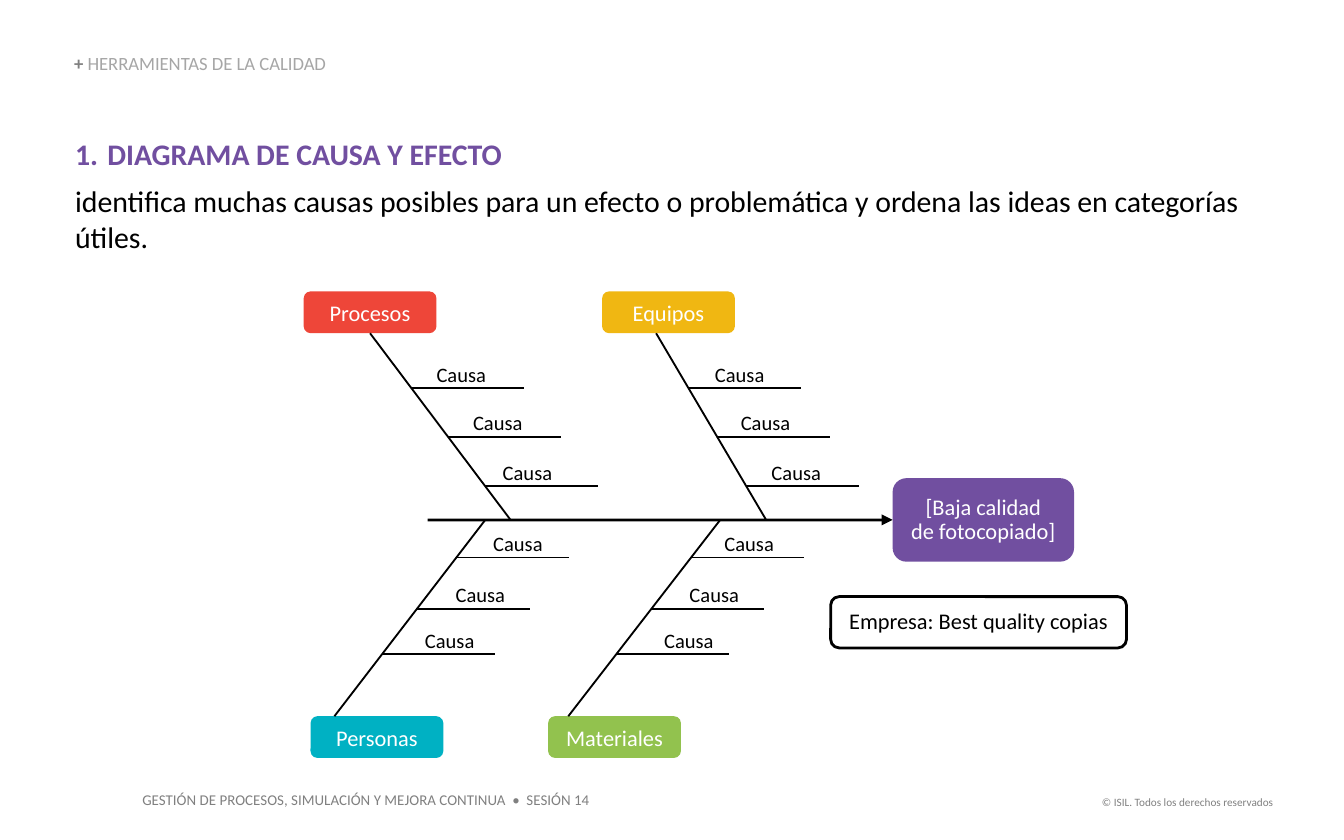
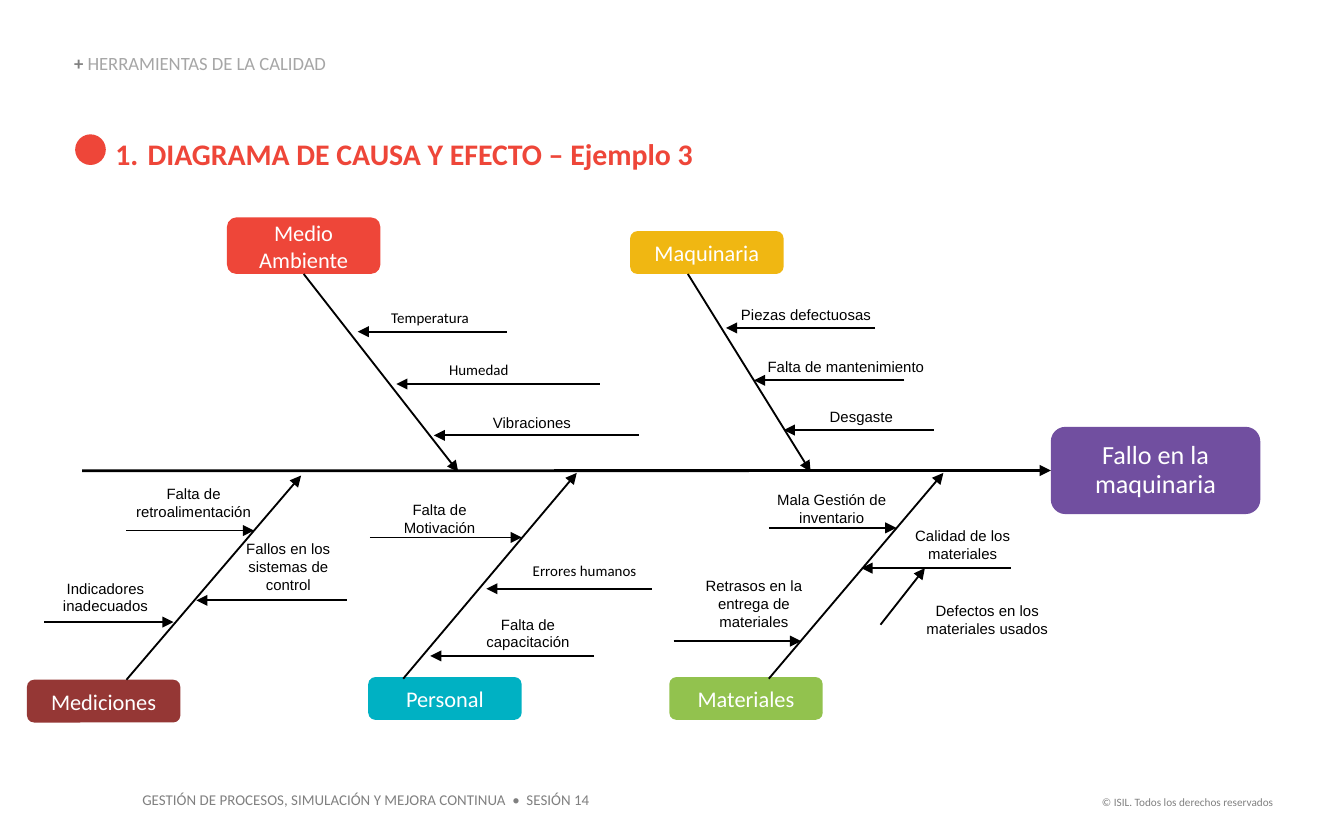
from dataclasses import dataclass
from lxml import etree
from pptx import Presentation
from pptx import util as u
from pptx.dml.color import RGBColor
from pptx.enum import shapes as sh, text as tx
from pptx.oxml import ns


@dataclass(frozen=True)
class Theme:
    red: str = "EE4639"
    gold: str = "F0B712"
    green: str = "92C24E"
    teal: str = "00B1C3"
    wine: str = "953735"
    violet: str = "714FA0"
    black: str = "000000"
    white: str = "FFFFFF"
    gray: str = "808080"
    pale: str = "A6A6A6"
    sans: str = "Calibri"
    alt: str = "Arial"
    head: int = 16
    big: int = 14
    box: int = 12
    cause: int = 11
    kick: int = 10
    note: int = 8
    tiny: int = 6


T = Theme()
ROUND = sh.MSO_SHAPE.ROUNDED_RECTANGLE
LEFT, MID, RIGHT = tx.PP_ALIGN.LEFT, tx.PP_ALIGN.CENTER, tx.PP_ALIGN.RIGHT


def put(slide, at, paras, kind=None, fill=None, edge=None, size=T.box, color=T.black,
        bold=False, font=T.sans, align=MID, pad=None, space=None, after=None,
        number=False, anchor=None):
    spot = [u.Cm(n) for n in at]
    if kind == "title":
        shape = slide.shapes.title
        shape.left, shape.top, shape.width, shape.height = spot
    elif kind is None:
        shape = slide.shapes.add_textbox(*spot)
    else:
        shape = slide.shapes.add_shape(kind, *spot)
        shape.shadow.inherit = False
        anchor = tx.MSO_ANCHOR.MIDDLE
        if fill:
            shape.fill.solid()
            shape.fill.fore_color.rgb = RGBColor.from_string(fill)
        else:
            shape.fill.background()
        if edge:
            shape.line.color.rgb = RGBColor.from_string(edge)
            shape.line.width = u.Pt(1.5)
        else:
            shape.line.fill.background()
    frame = shape.text_frame
    frame.word_wrap = True
    frame.auto_size = tx.MSO_AUTO_SIZE.NONE
    frame.vertical_anchor = anchor or tx.MSO_ANCHOR.TOP
    if pad is not None:
        frame.margin_left = frame.margin_right = u.Cm(pad)
        frame.margin_top = frame.margin_bottom = u.Cm(pad)
    if isinstance(paras, str):
        paras = [[(paras, color, bold)]]
    for row, runs in enumerate(paras):
        para = frame.add_paragraph() if row else frame.paragraphs[0]
        para.alignment = align
        if space:
            para.line_spacing = space
        if number and row == 0:
            props = para._p.get_or_add_pPr()
            props.set("marL", str(u.Cm(0.61)))
            props.set("indent", str(-u.Cm(0.61)))
            etree.SubElement(props, ns.qn("a:buAutoNum"), type="arabicPeriod")
        if after and row == 0:
            para.space_after = u.Pt(after)
        for words, tint, heavy in runs:
            for nth, piece in enumerate(words.split("\n")):
                if nth:
                    para.add_line_break()
                run = para.add_run()
                run.text = piece
                run.font.size = u.Pt(size)
                run.font.name = font
                run.font.bold = heavy
                run.font.color.rgb = RGBColor.from_string(tint)
    return shape


def line(slide, x1, y1, x2, y2, width=1, arrow=False, start=None, end=None):
    link = slide.shapes.add_connector(sh.MSO_CONNECTOR.STRAIGHT,
                                      *[u.Cm(n) for n in (x1, y1, x2, y2)])
    if start:
        link.begin_connect(start, 2)
    if end:
        link.end_connect(end, 1)
    link.line.color.rgb = RGBColor.from_string(T.black)
    link.line.width = u.Pt(width)
    if arrow:
        etree.SubElement(link.line._get_or_add_ln(), ns.qn("a:tailEnd"), type="triangle")
    etree.SubElement(link._element.spPr, ns.qn("a:effectLst"))


deck = Presentation()
deck.slide_width, deck.slide_height = u.Cm(25.4), u.Cm(15.88)
plain = deck.slide_layouts[5]
for hold in list(plain.placeholders):
    if hold.placeholder_format.type != sh.PP_PLACEHOLDER.TITLE:
        hold.element.getparent().remove(hold.element)

first, second = [deck.slides.add_slide(plain) for _ in range(2)]
feet = [
    ((20.5, 14.91, 3.81, 0.51), "© ISIL. Todos los derechos reservados", T.tiny, RIGHT),
    ((2.44, 14.83, 8.97, 0.61),
     "GESTIÓN DE PROCESOS, SIMULACIÓN Y MEJORA CONTINUA  •  SESIÓN 14", T.note, LEFT),
]
for at, words, size, align in feet:
    foot = put(first, at, words, size=size, color=T.gray, align=align)
    plain.shapes.element.append(foot.element)
for slide in (first, second):
    put(slide, (1.4, 1.04, 6.76, 0.38),
        [[("+ ", T.gray, True), ("HERRAMIENTAS DE LA CALIDAD", T.pale, False)]],
        kind="title", size=T.kick, align=LEFT, pad=0, space=0.9,
        anchor=tx.MSO_ANCHOR.BOTTOM)

put(first, (1.42, 2.57, 22.07, 2.39), [
    [("DIAGRAMA DE CAUSA Y EFECTO", T.violet, True)],
    [("identifica muchas causas posibles para un efecto o problemática y ordena "
      "las ideas en categorías útiles.", T.black, False)],
], size=T.head, align=LEFT, pad=0, after=6, number=True)

axis = 9.83
goal = put(first, (16.87, 9.04, 3.43, 1.58), "[Baja calidad\nde fotocopiado]", ROUND,
           T.violet, color=T.white, space=0.9)
put(first, (15.7, 11.28, 5.59, 0.97), "Empresa: Best quality copias", ROUND,
    edge=T.black, space=0.9)
line(first, 8.08, axis, 16.87, axis, 1.5, True, end=goal)

upper, lower = (7.34, 8.26, 9.19), (10.54, 11.51, 12.37)
bones = [
    ("Procesos", T.red, 5.74, 5.51, 6.99, 6.3, 9.65, upper, (7.92, 8.61, 9.17)),
    ("Equipos", T.gold, 11.38, 5.51, 12.4, 6.3, 14.48, upper, (13.18, 13.67, 14.25)),
    ("Personas", T.teal, 5.87, 13.54, 6.32, 13.54, 9.17, lower, (8.99, 8.28, 7.7)),
    ("Materiales", T.green, 10.36, 13.54, 10.74, 13.54, 13.61, lower, (13.36, 12.7, 12.22)),
]
for name, fill, left, top, x1, y1, x2, rows, tags in bones:
    box = put(first, (left, top, 2.51, 0.79), name, ROUND, fill, color=T.white)
    line(first, x1, y1, x2, axis, start=box if name == "Procesos" else None)
    for y, tag in zip(rows, tags):
        x = x1 + (x2 - x1) * (y - y1) / (axis - y1)
        line(first, x, y, x + 2.13, y)
        put(first, (tag, y - 0.5, 1.6, 0.48), "Causa", size=T.cause, pad=0)

put(second, (2.18, 2.57, 12.5, 0.69), "DIAGRAMA DE CAUSA Y EFECTO – Ejemplo 3",
    size=T.head, color=T.red, bold=True, align=LEFT, pad=0, after=6, number=True)
put(second, (1.42, 2.54, 0.58, 0.58), [], sh.MSO_SHAPE.OVAL, T.red).rotation = 90

goal = put(second, (19.86, 8.07, 3.96, 1.65), "Fallo en la maquinaria", ROUND,
           T.violet, size=T.big, color=T.white, space=0.9)
line(second, 1.55, 8.9, 19.86, 8.9, 1.5, True, end=goal)

bones = [
    ("Medio Ambiente", T.red, 4.29, 4.11, 1.07, (5.74, 5.18, 8.66, 8.92)),
    ("Maquinaria", T.gold, 11.91, 4.37, 0.81, (13, 5.18, 15.32, 8.92)),
    ("Mediciones", T.wine, 0.51, 12.85, 0.81, (2.39, 12.85, 5.69, 8.99)),
    ("Personal", T.teal, 6.96, 12.8, 0.81, (7.62, 12.83, 10.9, 8.94)),
    ("Materiales", T.green, 12.65, 12.8, 0.81, (14.53, 12.83, 17.83, 8.94)),
]
for name, fill, left, top, high, rib in bones:
    box = put(second, (left, top, 2.9, high), name, ROUND, fill, color=T.white)
    line(second, *rib, arrow=True, start=box if name == "Medio Ambiente" else None)

causes = [
    ("Temperatura", T.sans, (6.71, 5.84, 2.84, 0.33), (9.58, 6.27, 6.76, 6.27)),
    ("Humedad", T.sans, (6.88, 6.81, 4.34, 0.33), (11.33, 7.26, 7.49, 7.26)),
    ("Vibraciones", T.alt, (8.2, 7.82, 3.71, 0.33), (12.07, 8.23, 8.2, 8.23)),
    ("Piezas defectuosas", T.alt, (13.94, 5.77, 2.59, 0.33), (16.54, 6.2, 13.72, 6.2)),
    ("Falta de mantenimiento", T.alt, (14.5, 6.76, 2.98, 0.33), (17.09, 7.19, 14.25, 7.19)),
    ("Desgaste", T.alt, (15.06, 7.7, 2.44, 0.33), (17.65, 8.13, 14.81, 8.13)),
    ("Falta de retroalimentación", T.alt, (2.44, 9.17, 2.44, 0.69), (2.39, 10.03, 4.8, 10.03)),
    ("Fallos en los sistemas de control", T.alt, (4.5, 10.21, 1.9, 1.02),
     (6.55, 11.35, 3.71, 11.35)),
    ("Indicadores inadecuados", T.alt, (1.17, 10.95, 1.65, 0.69), (0.84, 11.76, 3.28, 11.76)),
    ("Falta de Motivación", T.alt, (7.09, 9.47, 2.44, 0.69), (6.99, 10.16, 9.86, 10.16)),
    ("Errores humanos", T.sans, (9.83, 10.62, 2.44, 0.33), (12.32, 11.13, 9.19, 11.13)),
    ("Falta de capacitación", T.alt, (8.76, 11.63, 2.44, 0.69), (11.23, 12.4, 8.13, 12.4)),
    ("Mala Gestión de inventario", T.alt, (14.5, 9.27, 2.44, 0.69), (14.53, 9.98, 16.94, 9.98)),
    ("Calidad de los materiales", T.alt, (16.71, 9.96, 2.97, 0.69),
     (19.1, 10.74, 16.28, 10.74)),
    ("Retrasos en la entrega de materiales", T.alt, (13.03, 10.9, 2.44, 1.02),
     (12.73, 12.12, 15.14, 12.12)),
    ("Defectos en los materiales usados", T.alt, (17.15, 11.38, 3.02, 0.69),
     (16.64, 11.81, 17.48, 10.74)),
]
for words, font, at, twig in causes:
    line(second, *twig, arrow=True)
    put(second, at, words, size=T.note, font=font, pad=0)

deck.save("out.pptx")
